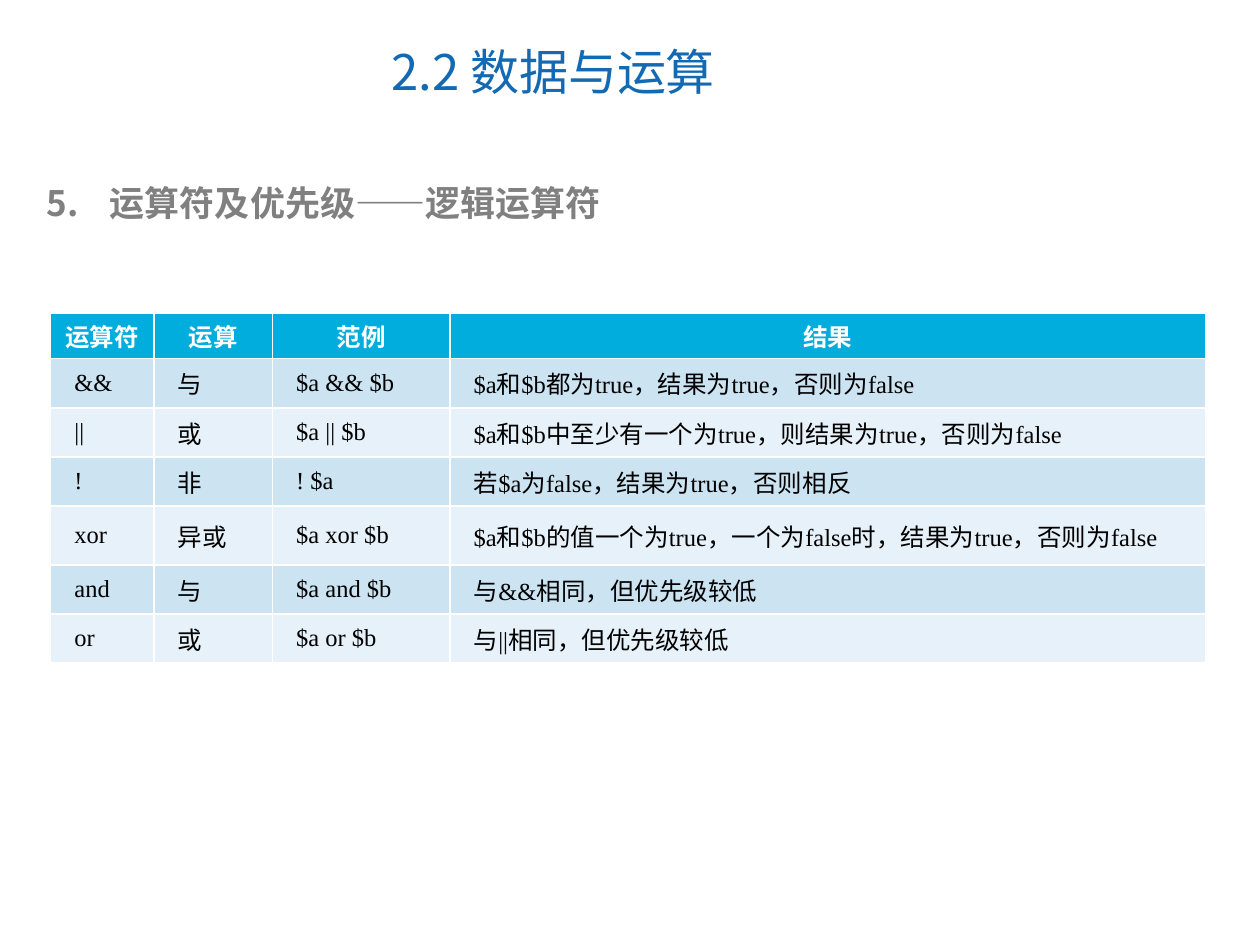
"""Build the slide on logical operators and their precedence."""
from dataclasses import dataclass
from typing import Any

from lxml.etree import SubElement
from pptx import Presentation
from pptx.dml.color import RGBColor
from pptx.enum.text import MSO_ANCHOR, MSO_AUTO_SIZE, PP_ALIGN
from pptx.oxml.ns import qn
from pptx.util import Cm, Pt


@dataclass(frozen=True)
class TextStyle:
    size: float
    color: str
    font: str
    bold: bool = False


@dataclass(frozen=True)
class Theme:
    east_asian: str = "Noto Sans CJK SC"
    title: TextStyle = TextStyle(28, "1369B2", "Noto Sans CJK SC")
    topic: TextStyle = TextStyle(20, "808080", "Noto Sans CJK SC", True)
    header: TextStyle = TextStyle(14, "FFFFFF", "Calibri", True)
    cell: TextStyle = TextStyle(14, "000000", "Times New Roman")
    header_fill: str = "00ADDC"
    bands: tuple[str, str] = ("CCE3F2", "E7F1F9")


@dataclass(frozen=True)
class Operator:
    symbol: str
    operation: str
    example: str
    result: str


THEME = Theme()
HEADINGS = Operator("运算符", "运算", "范例", "结果")
OPERATORS = [
    Operator("&&", "与", "$a && $b", "$a和$b都为true，结果为true，否则为false"),
    Operator("||", "或", "$a || $b", "$a和$b中至少有一个为true，则结果为true，否则为false"),
    Operator("!", "非", "! $a", "若$a为false，结果为true，否则相反"),
    Operator("xor", "异或", "$a xor $b",
             "$a和$b的值一个为true，一个为false时，结果为true，否则为false"),
    Operator("and", "与", "$a and $b", "与&&相同，但优先级较低"),
    Operator("or", "或", "$a or $b", "与||相同，但优先级较低"),
]
COLUMN_WIDTHS = (2.08, 2.39, 3.58, 15.24)
HEADER_HEIGHT, ROW_HEIGHT = 0.91, 0.99
CELL_FORMAT = {
    "vertical_anchor": MSO_ANCHOR.MIDDLE,
    "margin_left": Cm(0.18), "margin_right": Cm(0.18),
    "margin_top": 0, "margin_bottom": 0,
}


def apply(obj: Any, values: dict[str, Any]) -> None:
    """Set each named attribute on the object."""
    for name, value in values.items():
        setattr(obj, name, value)


def write(p: Any, text: str, style: TextStyle, **formats: Any) -> None:
    """Write one styled run and format its paragraph."""
    apply(p, formats)
    r = p.add_run()
    r.text = text
    apply(r.font, {"size": Pt(style.size), "bold": style.bold, "name": style.font})
    r.font.color.rgb = RGBColor.from_string(style.color)
    SubElement(r.font._element, qn("a:ea")).set("typeface", THEME.east_asian)


def indent(p: Any, left: float, first: float = 0) -> None:
    """Set the left and first-line indents in centimetres."""
    pPr = p._p.get_or_add_pPr()
    pPr.set("marL", str(int(Cm(left))))
    pPr.set("indent", str(int(Cm(first))))


def place(sp: Any, left: float, top: float, width: float, height: float) -> None:
    """Position a shape in centimetres."""
    apply(sp, {"left": Cm(left), "top": Cm(top),
               "width": Cm(width), "height": Cm(height)})


def add_title(sp: Any, text: str) -> None:
    """Fill the title placeholder."""
    place(sp, 4.6, 0.43, 13.1, 2.16)
    tf = sp.text_frame
    apply(tf, {"vertical_anchor": MSO_ANCHOR.MIDDLE, "auto_size": MSO_AUTO_SIZE.NONE})
    write(tf.paragraphs[0], text, THEME.title,
          alignment=PP_ALIGN.CENTER, line_spacing=0.9)


def add_topic(sp: Any, text: str, number: int) -> None:
    """Fill the body placeholder with one numbered topic."""
    place(sp, 0.69, 3.53, 23.42, 1.12)
    tf = sp.text_frame
    apply(tf, {"word_wrap": True, "auto_size": MSO_AUTO_SIZE.SHAPE_TO_FIT_TEXT})
    p = tf.paragraphs[0]
    indent(p, 1.27, -1.27)
    bullet = SubElement(p._p.get_or_add_pPr(), qn("a:buAutoNum"))
    bullet.set("type", "arabicPeriod")
    bullet.set("startAt", str(number))
    write(p, text, THEME.topic, space_before=Pt(0))


def fill_row(row: Any, entry: Operator, style: TextStyle, fill: str,
             height: float, header: bool = False) -> None:
    """Write one table row."""
    row.height = Cm(height)
    texts = (entry.symbol, entry.operation, entry.example, entry.result)
    for cell, text in zip(row.cells, texts):
        apply(cell, CELL_FORMAT)
        cell.fill.solid()
        cell.fill.fore_color.rgb = RGBColor.from_string(fill)
        p = cell.text_frame.paragraphs[0]
        if not header:
            indent(p, 0.3)
        write(p, text, style,
              alignment=PP_ALIGN.CENTER if header else PP_ALIGN.JUSTIFY)


def add_operator_table(s: Any) -> None:
    """Draw the table of logical operators."""
    height = HEADER_HEIGHT + ROW_HEIGHT * len(OPERATORS)
    table = s.shapes.add_table(
        len(OPERATORS) + 1, len(COLUMN_WIDTHS),
        Cm(1.02), Cm(6.32), Cm(sum(COLUMN_WIDTHS)), Cm(height)).table
    for column, width in zip(table.columns, COLUMN_WIDTHS):
        column.width = Cm(width)
    fill_row(table.rows[0], HEADINGS, THEME.header, THEME.header_fill,
             HEADER_HEIGHT, header=True)
    for i, entry in enumerate(OPERATORS):
        fill_row(table.rows[i + 1], entry, THEME.cell, THEME.bands[i % 2], ROW_HEIGHT)


def main() -> None:
    """Create and save the presentation."""
    prs = Presentation()
    apply(prs, {"slide_width": Cm(25.4), "slide_height": Cm(19.05)})
    s = prs.slides.add_slide(prs.slide_layouts[1])
    add_title(s.shapes.title, "2.2 数据与运算")
    add_topic(s.placeholders[1], "运算符及优先级——逻辑运算符", 5)
    add_operator_table(s)
    prs.save("out.pptx")


if __name__ == "__main__":
    main()
